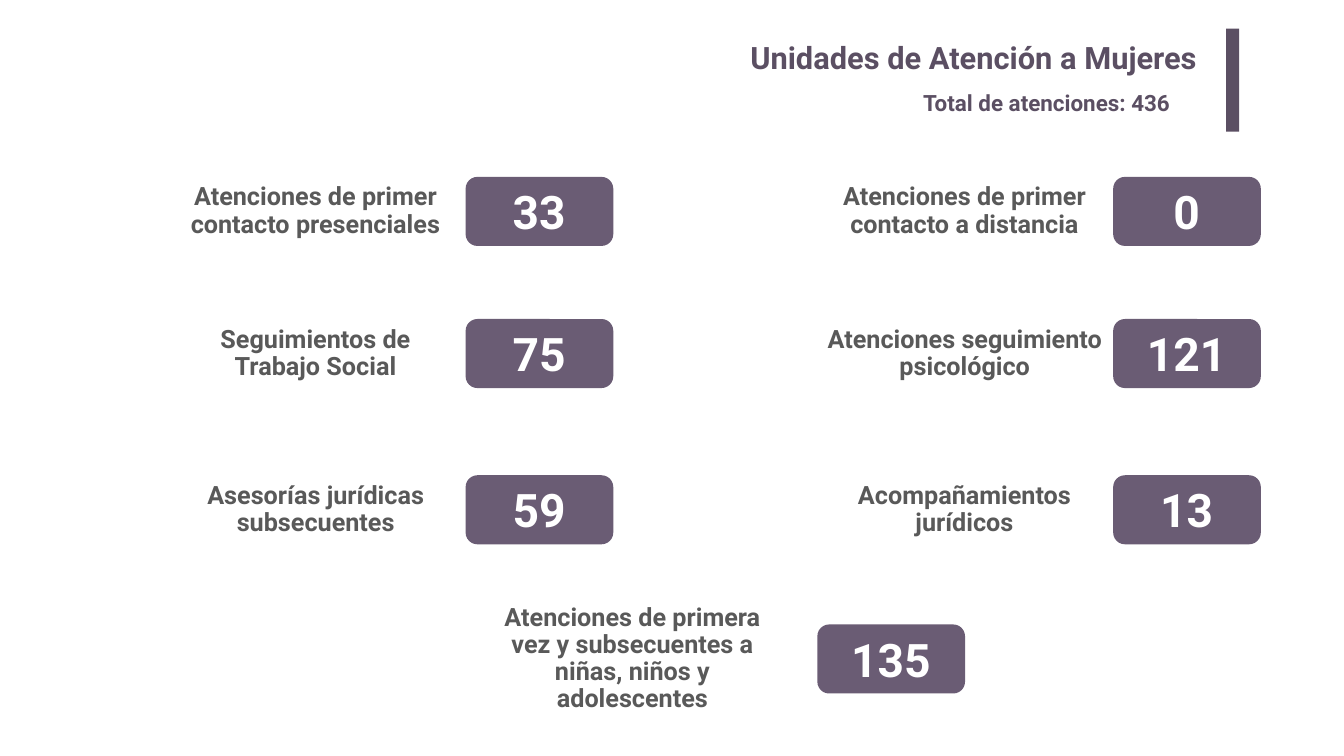
from pptx import Presentation
from pptx.dml.color import RGBColor
from pptx.enum.shapes import MSO_SHAPE as Shape
from pptx.enum.text import MSO_ANCHOR as Anchor, MSO_AUTO_SIZE as AutoSize, PP_ALIGN as Align
from pptx.util import Emu, Pt

PX = 9144
FONT = "Roboto"
COLORS = {"title": "5B4F63", "badge": "6A5C74", "label": "595959", "number": "FFFFFF"}
BADGE_WIDTH, BADGE_HEIGHT = 293, 137
NUMBER_WIDTH, NUMBER_HEIGHT = 204, 121

INDICATORS = [
    ("Atenciones de primer contacto presenciales", "33", 924, 351, 626, 548, 137),
    ("Atenciones de primer contacto a distancia", "0", 2209, 351, 1914, 516, 121),
    ("Seguimientos de Trabajo Social", "75", 924, 633, 626, 558, 141),
    ("Atenciones seguimiento psicológico", "121", 2209, 633, 1914, 781, 53),
    ("Asesorías jurídicas subsecuentes", "59", 924, 943, 626, 605, 80),
    ("Acompañamientos jurídicos", "13", 2209, 943, 1914, 646, 64),
    ("Atenciones de primera vez y subsecuentes a niñas, niños y adolescentes",
     "135", 1622, 1239, 1255, 600, 49),
]


def px(*lengths):
    """Turn pixel lengths into EMU."""
    return [Emu(length * PX) for length in lengths]


def add_text(slide, text, area, *, size, color, align=Align.LEFT, anchor=Anchor.TOP,
             spacing=None, insets=(10, 5), grow=False):
    """Add a bold text box with one paragraph."""
    frame = slide.shapes.add_textbox(*px(*area)).text_frame
    frame.word_wrap = True
    frame.auto_size = AutoSize.SHAPE_TO_FIT_TEXT if grow else AutoSize.NONE
    frame.vertical_anchor = anchor
    side, edge = px(*insets)
    frame.margin_left = frame.margin_right = side
    frame.margin_top = frame.margin_bottom = edge
    para = frame.paragraphs[0]
    para.alignment = align
    if spacing:
        para.line_spacing = spacing
    span = para.add_run()
    span.text = text
    span.font.name = FONT
    span.font.size = Pt(size)
    span.font.bold = True
    span.font.color.rgb = RGBColor.from_string(COLORS[color])


def add_block(slide, kind, area, color):
    """Add a filled shape without outline or shadow."""
    block = slide.shapes.add_shape(kind, *px(*area))
    block.shadow.inherit = False
    block.fill.solid()
    block.fill.fore_color.rgb = RGBColor.from_string(COLORS[color])
    block.line.fill.background()
    return block


def add_heading(slide):
    """Add the title, its side bar and the total."""
    add_text(slide, "Unidades de Atención a Mujeres", (366, 67, 2030, 102),
             size=44, color="title", align=Align.RIGHT, insets=(20, 10))
    add_block(slide, Shape.RECTANGLE, (2433, 57, 26, 204), "title")
    add_text(slide, "Total de atenciones: 436", (1822, 171, 592, 64),
             size=32, color="title", grow=True)


def add_indicator(slide, label, number, left, top, label_center, width, height):
    """Add a label and its number badge, centred on one line."""
    middle = top + BADGE_HEIGHT // 2
    add_text(slide, label, (label_center - width // 2, middle - height // 2, width, height),
             size=36, color="label", align=Align.CENTER, anchor=Anchor.MIDDLE, spacing=0.9)
    badge = add_block(slide, Shape.ROUNDED_RECTANGLE,
                      (left, top, BADGE_WIDTH, BADGE_HEIGHT), "badge")
    badge.adjustments[0] = 0.17
    number_left = left + (BADGE_WIDTH - NUMBER_WIDTH) // 2
    number_top = top + (BADGE_HEIGHT - NUMBER_HEIGHT) // 2
    add_text(slide, number, (number_left, number_top, NUMBER_WIDTH, NUMBER_HEIGHT),
             size=66, color="number", align=Align.CENTER, grow=True)


def main():
    """Build the slide and save the deck."""
    deck = Presentation()
    deck.slide_width, deck.slide_height = px(2667, 1500)
    page = deck.slides.add_slide(deck.slide_layouts[6])
    add_heading(page)
    for indicator in INDICATORS:
        add_indicator(page, *indicator)
    deck.save("out.pptx")


if __name__ == "__main__":
    main()
